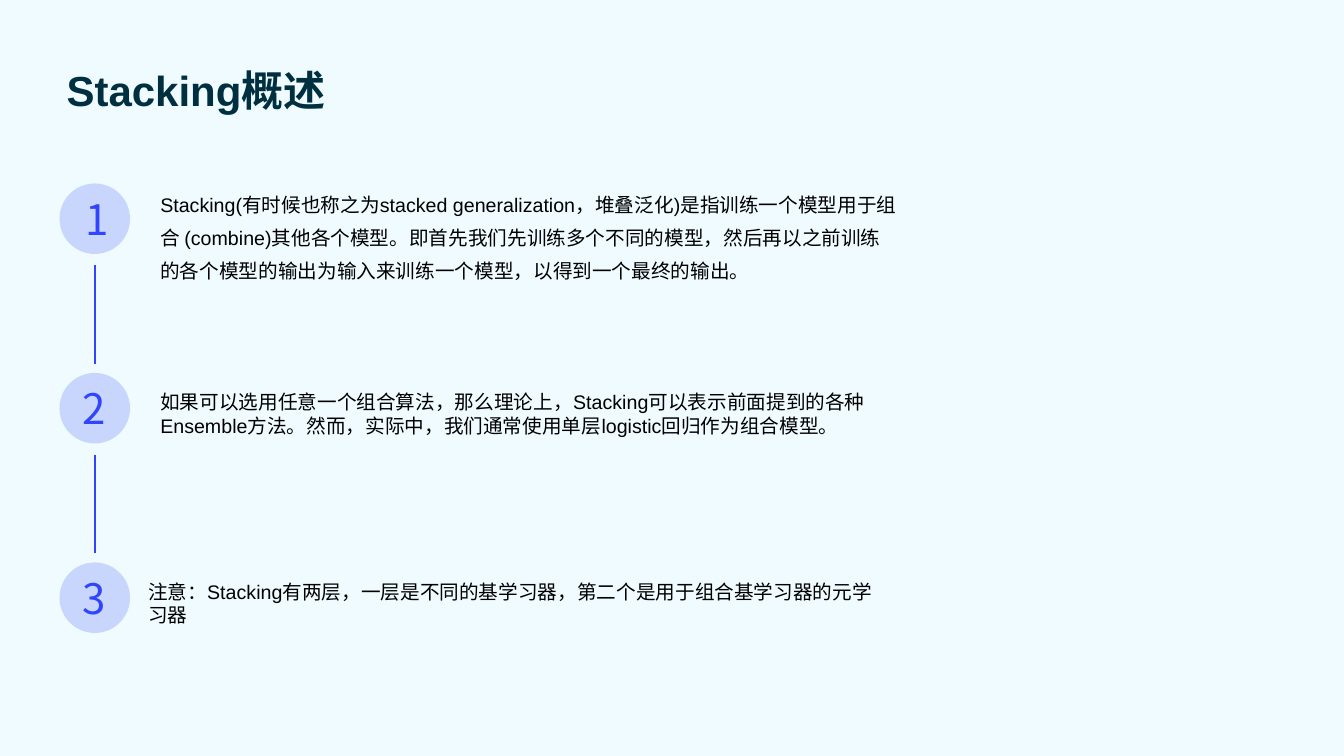
from dataclasses import dataclass

from lxml import etree
from pptx import Presentation
from pptx.dml.color import RGBColor
from pptx.enum.shapes import MSO_CONNECTOR, MSO_SHAPE
from pptx.enum.text import MSO_ANCHOR, MSO_AUTO_SIZE, PP_ALIGN
from pptx.oxml.ns import qn
from pptx.slide import Slide
from pptx.text.text import TextFrame, _Paragraph
from pptx.util import Emu, Pt

ELLIPSE = MSO_SHAPE.OVAL
STRAIGHT = MSO_CONNECTOR.STRAIGHT
TOP, MIDDLE = MSO_ANCHOR.TOP, MSO_ANCHOR.MIDDLE
CENTER = PP_ALIGN.CENTER
GROW = MSO_AUTO_SIZE.SHAPE_TO_FIT_TEXT

EMU_PER_PX = 9144  # 100 px to the inch
BACKGROUND, TITLE_COLOR, ACCENT, BLACK = "EFFBFF", "002F40", "3045FD", "000000"
SANS, NUMBER_FONT, PUNCTUATION_FONT = "Arial", "Noto Sans CJK SC", "Roboto"

FIRST_CIRCLE_TOP, STEP_PITCH = 182, 188
CIRCLE_LEFT, CIRCLE_SIZE = 59, 70
LINE_X, LINE_OFFSET, LINE_LENGTH = 94, 81, 98
NUMBER_OFFSET, NUMBER_HEIGHT = 2, 65
TEXT_WIDTH = 754
TEXT_INSETS = (14, 14, 6, 14)
NUMBER_INSETS = (10, 5, 10, 5)


@dataclass(frozen=True)
class Span:
    text: str
    size: int = 14
    font: str = SANS
    color: str = BLACK
    bold: bool = False


@dataclass(frozen=True)
class Box:
    left: int
    top: int
    width: int
    height: int


@dataclass(frozen=True)
class Step:
    number_left: int
    number_width: int
    text_box: Box
    spans: tuple[Span, ...]
    line_spacing: float = 1.0
    space_after: int = 18


STEPS = (
    Step(75, 37, Box(145, 168, TEXT_WIDTH, 119), (
        Span("Stacking(有时候也称之为stacked generalization，堆叠泛化)是指训练一个模型"
             "用于组合 (combine)其他各个模型。即首先我们先训练多个不同的模型，"
             "然后再以之前训练的各个模型的输出为输入来训练一个模型，以得到一个最终的输出。"),
    ), line_spacing=1.4, space_after=0),
    Step(64, 59, Box(145, 373, TEXT_WIDTH, 118), (
        Span("如果可以选用任意一个组合算法，那么理论上，Stacking可以表示前面提到的各种"
             "Ensemble方法。然而，实际中，我们通常使用单层logistic回归作为组合模型"),
        Span("。", font=PUNCTUATION_FONT),
    )),
    Step(64, 59, Box(133, 561, TEXT_WIDTH, 120), (
        Span("注意：Stacking有两层，一层是不同的基学习器，第二个是用于组合基学习器的元学习器"),
    )),
)


def px(length: int) -> Emu:
    return Emu(length * EMU_PER_PX)


def rgb(color: str) -> RGBColor:
    return RGBColor.from_string(color)


def add_text(page: Slide, box: Box, spans: tuple[Span, ...],
             insets: tuple[int, int, int, int] = TEXT_INSETS,
             anchor: MSO_ANCHOR = TOP) -> tuple[TextFrame, _Paragraph]:
    """Add a wrapped one-paragraph box; return its frame and paragraph."""
    frame = page.shapes.add_textbox(
        px(box.left), px(box.top), px(box.width), px(box.height)).text_frame
    frame.word_wrap = True
    frame.vertical_anchor = anchor
    left, top, right, bottom = insets
    frame.margin_left, frame.margin_top = px(left), px(top)
    frame.margin_right, frame.margin_bottom = px(right), px(bottom)
    para = frame.paragraphs[0]
    for span in spans:
        run = para.add_run()
        run.text = span.text
        run.font.size = Pt(span.size)
        run.font.name = span.font
        run.font.bold = span.bold
        run.font.color.rgb = rgb(span.color)
    return frame, para


def add_circle(page: Slide, top: int) -> None:
    circle = page.shapes.add_shape(
        ELLIPSE, px(CIRCLE_LEFT), px(top), px(CIRCLE_SIZE), px(CIRCLE_SIZE))
    circle.shadow.inherit = False
    circle.line.fill.background()
    circle.fill.solid()
    circle.fill.fore_color.rgb = rgb(ACCENT)
    color = circle.element.spPr.find(qn("a:solidFill")).find(qn("a:srgbClr"))
    etree.SubElement(color, qn("a:alpha")).set("val", "20000")


def add_line(page: Slide, top: int) -> None:
    line = page.shapes.add_connector(
        STRAIGHT, px(LINE_X), px(top), px(LINE_X), px(top + LINE_LENGTH))
    line.line.color.rgb = rgb(ACCENT)
    line.line.width = Pt(1.5)
    etree.SubElement(line.element.spPr, qn("a:effectLst"))


def add_step(page: Slide, index: int, step: Step) -> None:
    top = FIRST_CIRCLE_TOP + index * STEP_PITCH
    add_circle(page, top)
    _, para = add_text(page, step.text_box, step.spans)
    para.line_spacing = step.line_spacing
    para.space_after = Pt(step.space_after)
    if index < len(STEPS) - 1:
        add_line(page, top + LINE_OFFSET)
    number_box = Box(step.number_left, top + NUMBER_OFFSET,
                     step.number_width, NUMBER_HEIGHT)
    number = Span(str(index + 1), 30, NUMBER_FONT, ACCENT)
    frame, para = add_text(page, number_box, (number,), NUMBER_INSETS, MIDDLE)
    frame.auto_size = GROW
    para.alignment = CENTER


def main() -> None:
    deck = Presentation()
    deck.slide_width, deck.slide_height = px(1333), px(750)
    page = deck.slides.add_slide(deck.slide_layouts[6])
    page.background.fill.solid()
    page.background.fill.fore_color.rgb = rgb(BACKGROUND)

    title = Span("Stacking概述", 30, color=TITLE_COLOR, bold=True)
    _, para = add_text(page, Box(52, 29, 1229, 100), (title,), anchor=MIDDLE)
    para.line_spacing = 1.4
    for index, step in enumerate(STEPS):
        add_step(page, index, step)
    deck.save("out.pptx")


if __name__ == "__main__":
    main()
